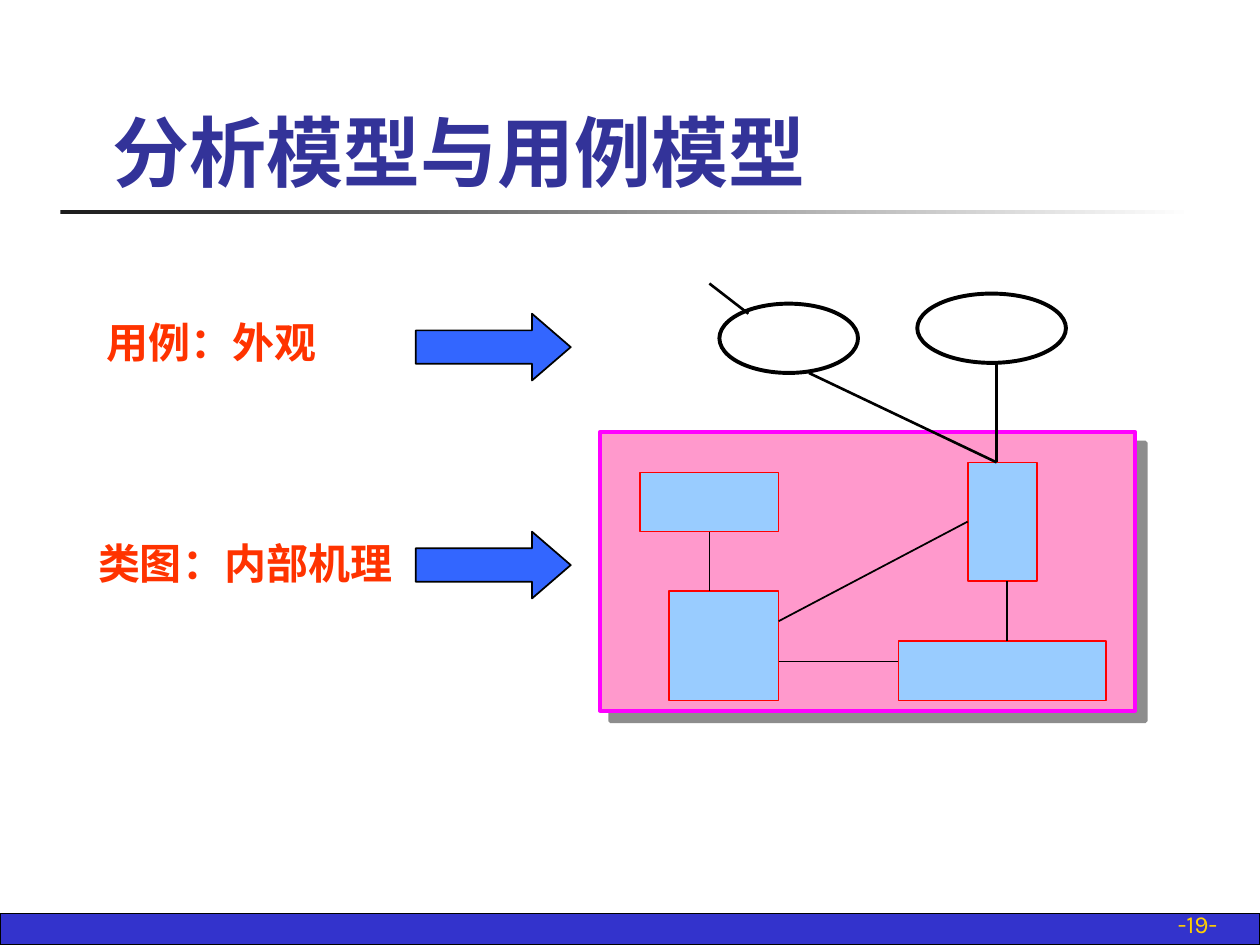
from dataclasses import dataclass

from lxml.etree import SubElement
from pptx import Presentation
from pptx.dml.color import RGBColor
from pptx.enum.shapes import MSO_CONNECTOR, MSO_SHAPE
from pptx.enum.text import MSO_ANCHOR, MSO_AUTO_SIZE, PP_ALIGN
from pptx.oxml import parse_xml
from pptx.oxml.ns import nsdecls, qn
from pptx.util import Emu, Pt

PX_PER_INCH = 100
TITLE_ONLY = 5
TOP, LEFT, BOTTOM, RIGHT = range(4)


def px(length):
    return Emu(length * 914400 // PX_PER_INCH)


@dataclass(frozen=True)
class Theme:
    ink: str = "000000"
    title: str = "333399"
    label: str = "FF3300"
    footer: str = "3333CC"
    number: str = "FFCF01"
    rule_start: str = "1C1C1C"
    rule_end: str = "FFFFFF"
    panel: str = "FF99CC"
    panel_edge: str = "FF00FF"
    class_box: str = "99CCFF"
    class_edge: str = "FF0000"
    arrow: str = "3366FF"
    title_size: int = 44
    label_size: int = 24
    number_size: int = 14
    title_font: str = "Times New Roman"
    label_font: str = "Arial"
    number_font: str = "Karla"


class SlideBuilder:
    def __init__(self, page, theme):
        self.page = page
        self.theme = theme

    def shape(self, kind, frame, fill=None, edge=None, weight=1):
        shape = self.page.shapes.add_shape(kind, *map(px, frame))
        shape.shadow.inherit = False
        if fill:
            shape.fill.solid()
            shape.fill.fore_color.rgb = RGBColor.from_string(fill)
        else:
            shape.fill.background()
        if edge:
            shape.line.color.rgb = RGBColor.from_string(edge)
            shape.line.width = Pt(weight)
        else:
            shape.line.fill.background()
        return shape

    def rule(self, frame):
        bar = self.shape(MSO_SHAPE.RECTANGLE, frame)
        bar.fill.gradient()
        bar.fill.gradient_angle = 0
        colors = self.theme.rule_start, self.theme.rule_end
        for stop, color in zip(bar.fill.gradient_stops, colors):
            stop.color.rgb = RGBColor.from_string(color)

    def panel(self, frame):
        panel = self.shape(MSO_SHAPE.RECTANGLE, frame, self.theme.panel,
                           self.theme.panel_edge, 2.25)
        effects = panel._element.spPr.find(qn("a:effectLst"))
        effects.append(parse_xml(
            f'<a:outerShdw {nsdecls("a")} blurRad="0" dist="{Pt(8.5)}" dir="2700000" '
            f'algn="ctr" rotWithShape="0"><a:srgbClr val="{self.theme.rule_start}">'
            '<a:alpha val="50000"/></a:srgbClr></a:outerShdw>'))

    def class_box(self, frame):
        return self.shape(MSO_SHAPE.RECTANGLE, frame, self.theme.class_box,
                          self.theme.class_edge)

    def use_case(self, frame):
        self.shape(MSO_SHAPE.OVAL, frame, edge=self.theme.ink, weight=2.25)

    def arrow(self, frame):
        arrow = self.shape(MSO_SHAPE.RIGHT_ARROW, frame, self.theme.arrow, self.theme.ink)
        arrow.adjustments[0] = 0.5
        arrow.adjustments[1] = 0.58

    def line(self, start, end, weight=1, begin_at=None, end_at=None):
        line = self.page.shapes.add_connector(
            MSO_CONNECTOR.STRAIGHT, *map(px, start + end))
        line.line.color.rgb = RGBColor.from_string(self.theme.ink)
        line.line.width = Pt(weight)
        SubElement(line._element.spPr, qn("a:effectLst"))
        if begin_at:
            line.begin_connect(*begin_at)
        if end_at:
            line.end_connect(*end_at)

    def set_text(self, box, text, font, size, color, bold=False,
                 align=PP_ALIGN.LEFT, anchor=MSO_ANCHOR.TOP, wrap=True):
        frame = box.text_frame
        frame.text = text
        frame.auto_size = MSO_AUTO_SIZE.NONE
        frame.word_wrap = wrap
        frame.vertical_anchor = anchor
        para = frame.paragraphs[0]
        para.alignment = align
        para.font.name = font
        para.font.size = Pt(size)
        para.font.bold = bold
        para.font.color.rgb = RGBColor.from_string(color)

    def title(self, text, frame):
        box = self.page.shapes.title
        box.left, box.top, box.width, box.height = map(px, frame)
        self.set_text(box, text, self.theme.title_font, self.theme.title_size,
                      self.theme.title, bold=True, anchor=MSO_ANCHOR.BOTTOM)

    def label(self, text, frame, wrap=True):
        box = self.page.shapes.add_textbox(*map(px, frame))
        self.set_text(box, text, self.theme.label_font, self.theme.label_size,
                      self.theme.label, bold=True, wrap=wrap)
        box.text_frame.auto_size = MSO_AUTO_SIZE.SHAPE_TO_FIT_TEXT

    def page_number(self, text, frame):
        box = self.page.shapes.add_textbox(*map(px, frame))
        self.set_text(box, text, self.theme.number_font, self.theme.number_size,
                      self.theme.number, align=PP_ALIGN.RIGHT, anchor=MSO_ANCHOR.BOTTOM)


def main():
    deck = Presentation()
    deck.slide_width, deck.slide_height = px(1000), px(750)
    page = deck.slides.add_slide(deck.slide_layouts[TITLE_ONLY])
    theme = Theme()
    build = SlideBuilder(page, theme)

    build.shape(MSO_SHAPE.RECTANGLE, (0, 725, 1000, 25), theme.footer, theme.ink, 0.75)
    build.rule((48, 167, 900, 3))
    build.page_number("-19-", (768, 717, 208, 33))
    build.title("分析模型与用例模型", (79, 36, 852, 125))

    build.panel((476, 343, 425, 221))
    upper_class = build.class_box((508, 375, 110, 47))
    tall_class = build.class_box((768, 367, 55, 94))
    build.class_box((531, 469, 87, 87))
    build.class_box((713, 509, 165, 47))
    build.line((618, 493), (768, 414), end_at=(tall_class, LEFT))
    build.line((799, 509), (799, 461))
    build.line((618, 525), (713, 525))
    build.line((563, 422), (563, 469), begin_at=(upper_class, BOTTOM))

    build.use_case((571, 241, 110, 55))
    build.use_case((728, 233, 118, 55))
    for start, end in (((642, 296), (791, 367)),
                       ((791, 288), (791, 367)),
                       ((594, 249), (563, 225))):
        build.line(start, end, 1.5)

    build.label("用例：外观", (75, 246, 260, 50))
    build.label("类图：内部机理", (68, 422, 253, 50), wrap=False)
    for top in (249, 422):
        build.arrow((330, top, 123, 53))

    deck.save("out.pptx")


if __name__ == "__main__":
    main()
